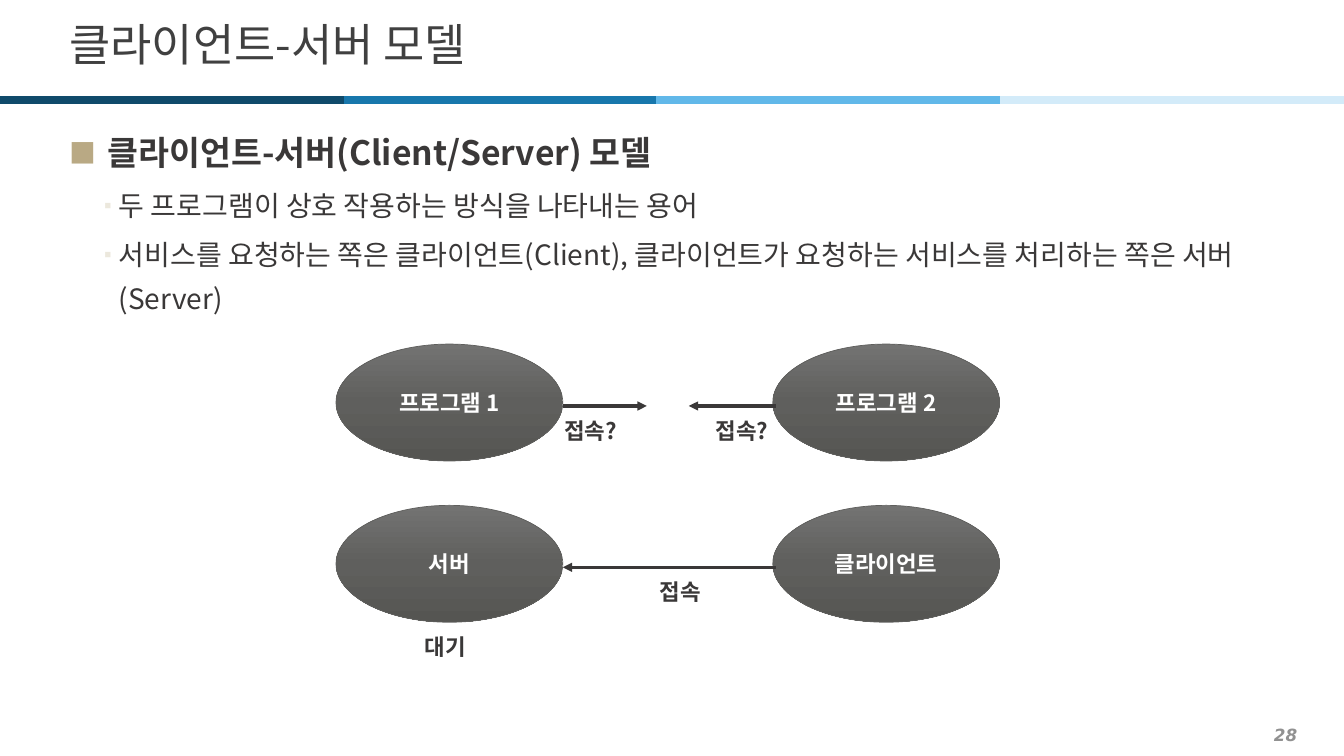
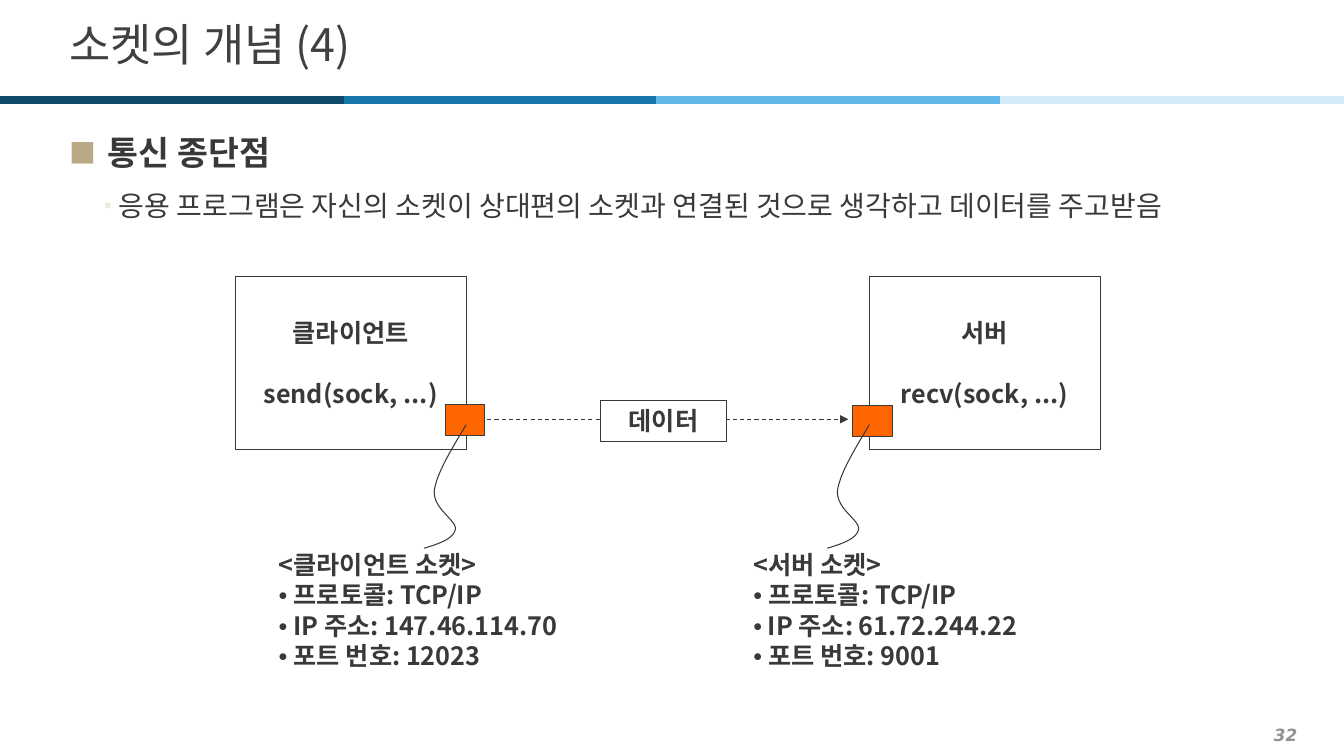
"""Build two slides on the client-server model and on sockets."""
import copy

import lxml.etree
import pptx
import pptx.dml.color
import pptx.enum.dml
import pptx.enum.shapes
import pptx.enum.text
import pptx.oxml.ns
import pptx.util

Pt = pptx.util.Pt
qn = pptx.oxml.ns.qn
SHAPE = pptx.enum.shapes.MSO_SHAPE
ALIGN = pptx.enum.text.PP_ALIGN
ANCHOR = pptx.enum.text.MSO_ANCHOR

FONT, PAGE_FONT, DOT_FONT = "Noto Sans CJK KR", "DejaVu Sans", "Times New Roman"
COLORS = {
    "title": "404040", "ink": "3A3838", "page": "919191", "white": "FFFFFF",
    "bullet": "B9A984", "subbullet": "ECE8DD", "socket": "FF6600", "oval_line": "5F5F5D",
}
BANDS = [(0, "0F4A6B"), (245.5, "1877AC"), (468.7, "61B8E9"), (714.2, "D3EBF9")]
OVAL_STOPS = [(0, "737372"), (0.5, "5F5F5D"), (1, "555552")]
WIDTH, HEIGHT, BAND_Y = 960, 540, 71.3

LEVELS = [
    dict(size=24, bold=True, indent=27.4, hang=27.4, spacing=1.2, before=0, mark="■", percent=80, color="bullet"),
    dict(size=20, bold=False, indent=35.3, hang=14.4, spacing=1.3, before=2, mark="▪", percent=70, color="subbullet"),
]

MODEL = dict(title="클라이언트-서버 모델", page="28", body=[
    (0, "클라이언트-서버(Client/Server) 모델"),
    (1, "두 프로그램이 상호 작용하는 방식을 나타내는 용어"),
    (1, "서비스를 요청하는 쪽은 클라이언트(Client), 클라이언트가 요청하는 서비스를 처리하는 쪽은 서버(Server)"),
])
OVAL_ROWS = [("프로그램 1", "프로그램 2"), ("서버", "클라이언트")]
OVAL_X, OVAL_Y, OVAL_SIZE, ROW_STEP = (240, 552), 245.8, (162, 83.5), 115.2
MODEL_ARROWS = [(0, 402, 462), (0, 554, 492), (1, 554, 402)]
MODEL_LABELS = [
    ("접속?", 396, 295.2, ALIGN.LEFT), ("접속?", 504, 295.2, ALIGN.LEFT),
    ("대기", 288, 449.3, ALIGN.CENTER), ("접속", 456, 410.4, ALIGN.CENTER),
]

SOCKET = dict(title="소켓의 개념 (4)", page="32", body=[
    (0, "통신 종단점"),
    (1, "응용 프로그램은 자신의 소켓이 상대편의 소켓과 연결된 것으로 생각하고 데이터를 주고받음"),
])
ENDPOINTS = [
    dict(name="클라이언트", call="send(sock, ...)", box_x=168, socket=(318, 288.8), curve_x=303,
         note_x=192, address="147.46.114.70", port="12023"),
    dict(name="서버", call="recv(sock, ...)", box_x=620.8, socket=(609, 289.4), curve_x=591,
         note_x=531, address="61.72.244.22", port="9001"),
]
NOTE_Y, NOTE_SIZE = 385.6, (255, 100)
CURVE_Y = 303.4
CURVE = [
    [(30, 0), (19.5, 17.7), (8.7, 35), (7.2, 47.5)],
    [(7.2, 47.5), (6.5, 60.5), (23.8, 68.4), (22.3, 74.9)],
    [(22.3, 74.9), (20.9, 81.4), (10.8, 85), (0, 88.2)],
]


def rgb(name):
    return pptx.dml.color.RGBColor.from_string(COLORS.get(name, name))


def style(r, size, color="ink", bold=True, font=FONT):
    f = r.font
    f.size, f.bold, f.name = Pt(size), bold, font
    f.color.rgb = rgb(color)
    ea = lxml.etree.SubElement(r._r.get_or_add_rPr(), qn("a:ea"))
    ea.set("typeface", font)


def write(sp, lines, size, color="ink", bold=True, font=FONT, align=ALIGN.LEFT, wrap=False, anchor=ANCHOR.MIDDLE):
    tf = sp.text_frame
    tf.text = "\n".join(lines)
    tf.word_wrap, tf.vertical_anchor = wrap, anchor
    for p in tf.paragraphs:
        p.alignment = align
        style(p.runs[0], size, color, bold, font)
    return tf


def text_box(s, box, lines, size, **options):
    return write(s.shapes.add_textbox(*map(Pt, box)), lines, size, **options)


def outline(sp, color="ink", width=0.75):
    sp.shadow.inherit = False
    sp.line.color.rgb = rgb(color)
    sp.line.width = Pt(width)


def add_shape(s, kind, box, fill=None):
    sp = s.shapes.add_shape(kind, *map(Pt, box))
    outline(sp)
    if fill:
        sp.fill.solid()
        sp.fill.fore_color.rgb = rgb(fill)
    else:
        sp.fill.background()
    return sp


def add_line(s, x1, x2, y, width, color="ink", arrow=False, dash=False):
    cx = s.shapes.add_connector(pptx.enum.shapes.MSO_CONNECTOR.STRAIGHT, Pt(x1), Pt(y), Pt(x2), Pt(y))
    cx.line.color.rgb = rgb(color)
    cx.line.width = Pt(width)
    if dash:
        cx.line.dash_style = pptx.enum.dml.MSO_LINE.DASH
    if arrow:
        lxml.etree.SubElement(cx.line._get_or_add_ln(), qn("a:tailEnd")).set("type", "triangle")
    lxml.etree.SubElement(cx._element.spPr, qn("a:effectLst"))


def add_body(s, items):
    tf = text_box(s, (42.5, 85, 879, 434), [t for _, t in items], 20, wrap=True, anchor=ANCHOR.TOP)
    for p, (level, _) in zip(tf.paragraphs, items):
        look = LEVELS[level]
        p.level, p.line_spacing = level, look["spacing"]
        p.space_before, p.space_after = Pt(look["before"]), Pt(2)
        p.runs[0].font.size, p.runs[0].font.bold = Pt(look["size"]), look["bold"]
        pPr = p._p.get_or_add_pPr()
        pPr.set("marL", str(Pt(look["indent"])))
        pPr.set("indent", str(-Pt(look["hang"])))
        clr = lxml.etree.SubElement(pPr, qn("a:buClr"))
        lxml.etree.SubElement(clr, qn("a:srgbClr")).set("val", COLORS[look["color"]])
        lxml.etree.SubElement(pPr, qn("a:buSzPct")).set("val", str(look["percent"] * 1000))
        lxml.etree.SubElement(pPr, qn("a:buFont")).set("typeface", FONT)
        lxml.etree.SubElement(pPr, qn("a:buChar")).set("char", look["mark"])


def add_slide(prs, content):
    s = prs.slides.add_slide(prs.slide_layouts[6])
    tf = text_box(s, (14.4, 514, 919.4, 22.3), [content["page"]], 12, color="page", font=PAGE_FONT,
                  align=ALIGN.RIGHT, wrap=True)
    tf.paragraphs[0].runs[0].font.italic = True
    ends = [x for x, _ in BANDS[1:]] + [WIDTH]
    for (x, color), end in zip(BANDS, ends):
        add_line(s, x, end, BAND_Y, 6, color)
    tf = text_box(s, (42.5, 9, 879, 49), [content["title"]], 32, color="title", bold=False, wrap=True)
    tf.paragraphs[0].line_spacing = 0.9
    add_body(s, content["body"])
    return s


def add_oval(s, x, y, label):
    sp = add_shape(s, SHAPE.OVAL, (x, y, *OVAL_SIZE))
    outline(sp, "oval_line", 0.5)
    sp.fill.gradient()
    sp.fill.gradient_angle = 270
    stops = sp._element.spPr.find(".//" + qn("a:gsLst"))
    stops.insert(1, copy.deepcopy(stops[0]))
    for stop, (position, color) in zip(sp.fill.gradient_stops, OVAL_STOPS):
        stop.position = position
        stop.color.rgb = rgb(color)
    write(sp, [label], 16, color="white", align=ALIGN.CENTER)


def add_curve(s, x, y, steps=12):
    points = []
    for a, b, c, d in CURVE:
        for i in range(steps + 1):
            t = i / steps
            u = 1 - t
            points.append([u**3 * a[k] + 3 * u * u * t * b[k] + 3 * u * t * t * c[k] + t**3 * d[k] for k in (0, 1)])
    points = [(Pt(x + px), Pt(y + py)) for px, py in points]
    fb = s.shapes.build_freeform(*points[0])
    fb.add_line_segments(points[1:], close=False)
    sp = fb.convert_to_shape()
    outline(sp)
    sp.fill.background()


def add_note(s, end):
    facts = [("• ", "프로토콜: TCP/IP"), ("•", f" IP 주소: {end['address']}"), ("• ", f"포트 번호: {end['port']}")]
    tf = text_box(s, (end["note_x"], NOTE_Y, *NOTE_SIZE), [f"<{end['name']} 소켓>"], 18)
    for dot, fact in facts:
        p = tf.add_paragraph()
        for text, font in ((dot, DOT_FONT), (fact, FONT)):
            r = p.add_run()
            r.text = text
            style(r, 18, font=font)


def build_model(prs):
    s = add_slide(prs, MODEL)
    for row, labels in enumerate(OVAL_ROWS):
        for x, label in zip(OVAL_X, labels):
            add_oval(s, x, OVAL_Y + row * ROW_STEP, label)
    for row, x1, x2 in MODEL_ARROWS:
        add_line(s, x1, x2, 290 + row * ROW_STEP, 2.25, arrow=True)
    for label, x, y, align in MODEL_LABELS:
        text_box(s, (x, y, 60, 24.5), [label], 16, align=align)


def build_socket(prs):
    s = add_slide(prs, SOCKET)
    for end in ENDPOINTS:
        sp = add_shape(s, SHAPE.RECTANGLE, (end["box_x"], 197.3, 165, 123.5))
        tf = write(sp, [end["name"], end["call"]], 18, align=ALIGN.CENTER)
        tf.paragraphs[1].space_before = Pt(22)
    add_line(s, 348, 606, 299.5, 0.75, arrow=True, dash=True)
    sp = add_shape(s, SHAPE.RECTANGLE, (429, 285.8, 90, 29.5), "white")
    write(sp, ["데이터"], 18, align=ALIGN.CENTER)
    for end in ENDPOINTS:
        add_shape(s, SHAPE.RECTANGLE, (*end["socket"], 28.2, 22.5), "socket")
        add_curve(s, end["curve_x"], CURVE_Y)
        add_note(s, end)


def main():
    prs = pptx.Presentation()
    prs.slide_width, prs.slide_height = Pt(WIDTH), Pt(HEIGHT)
    build_model(prs)
    build_socket(prs)
    prs.save("out.pptx")


if __name__ == "__main__":
    main()
